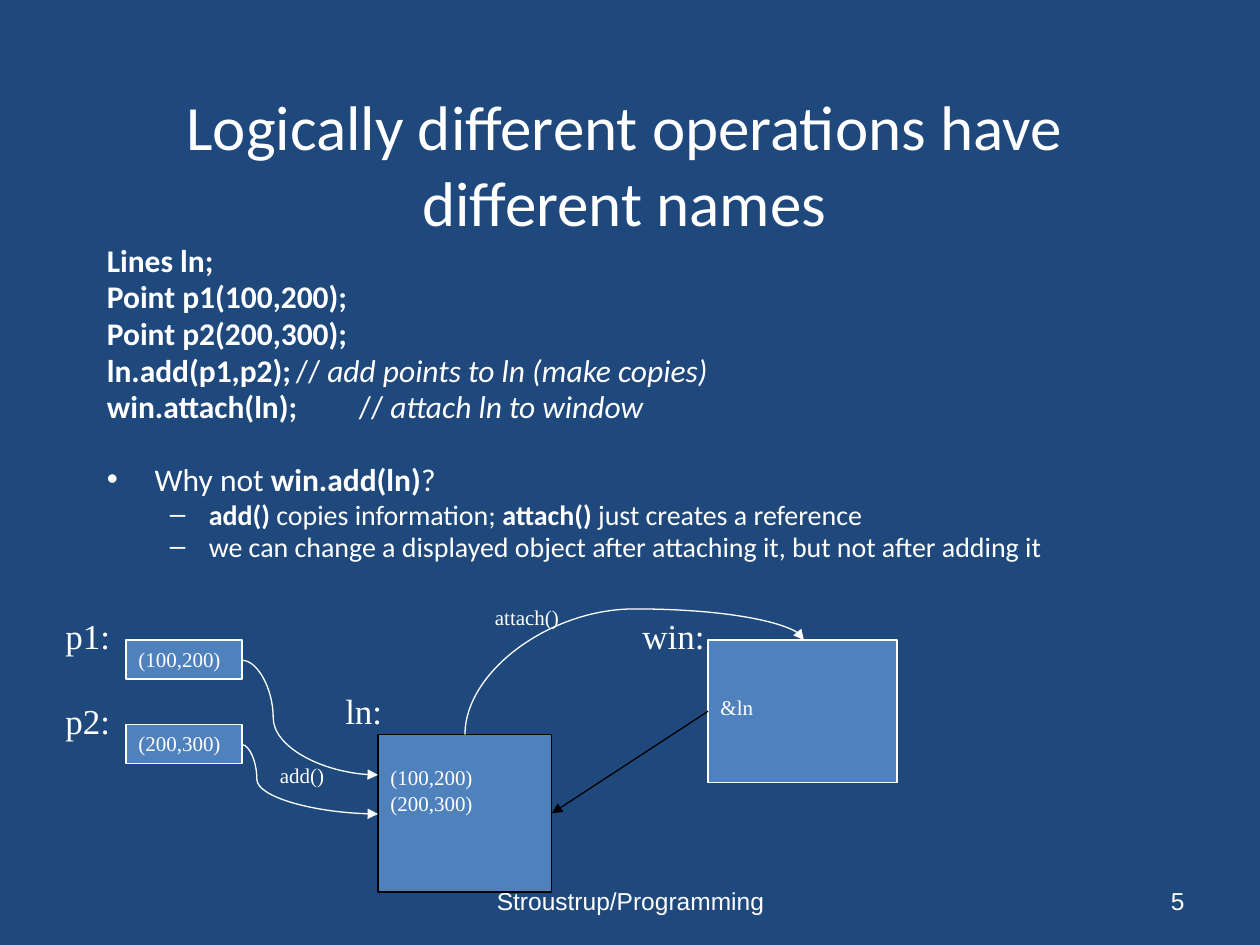
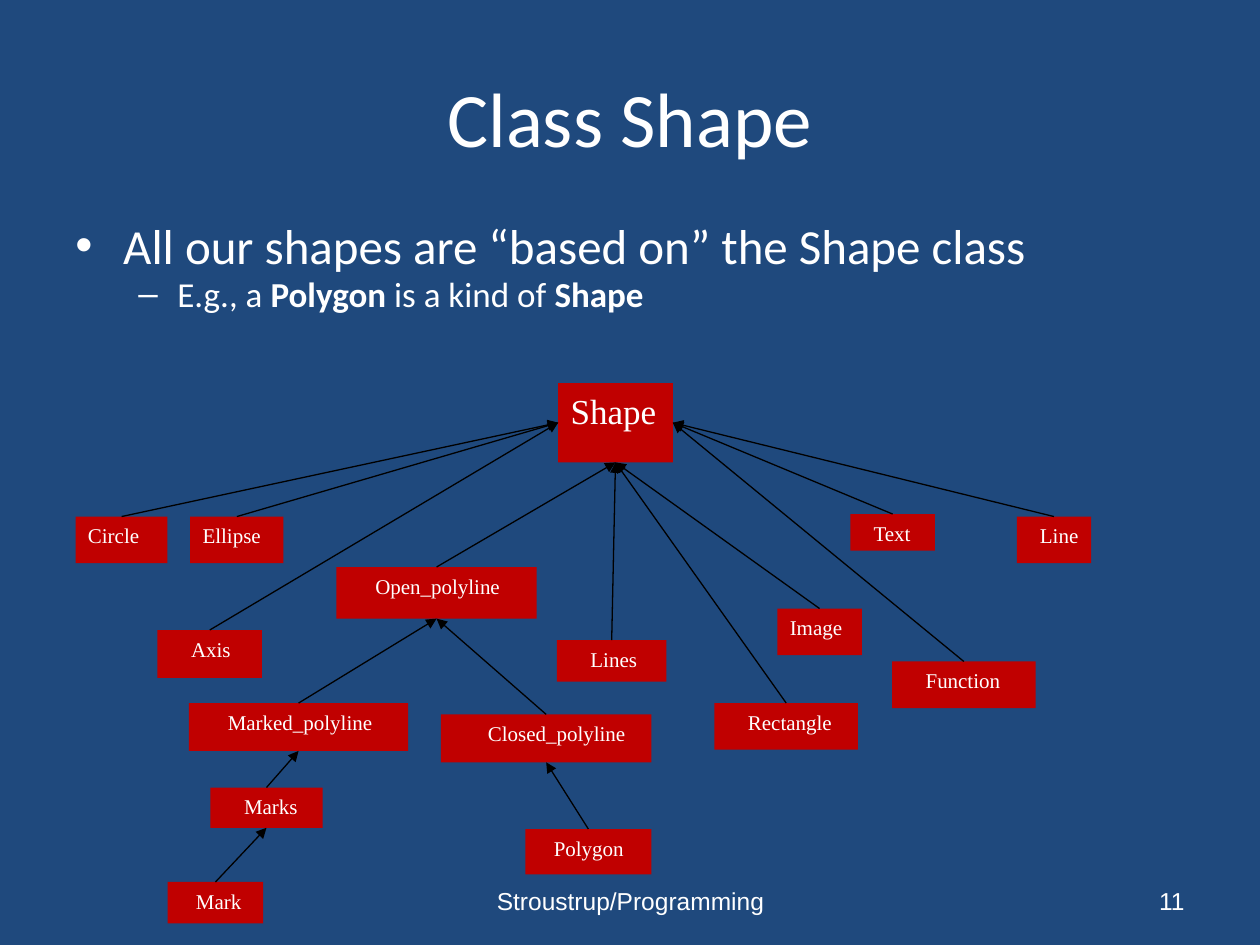
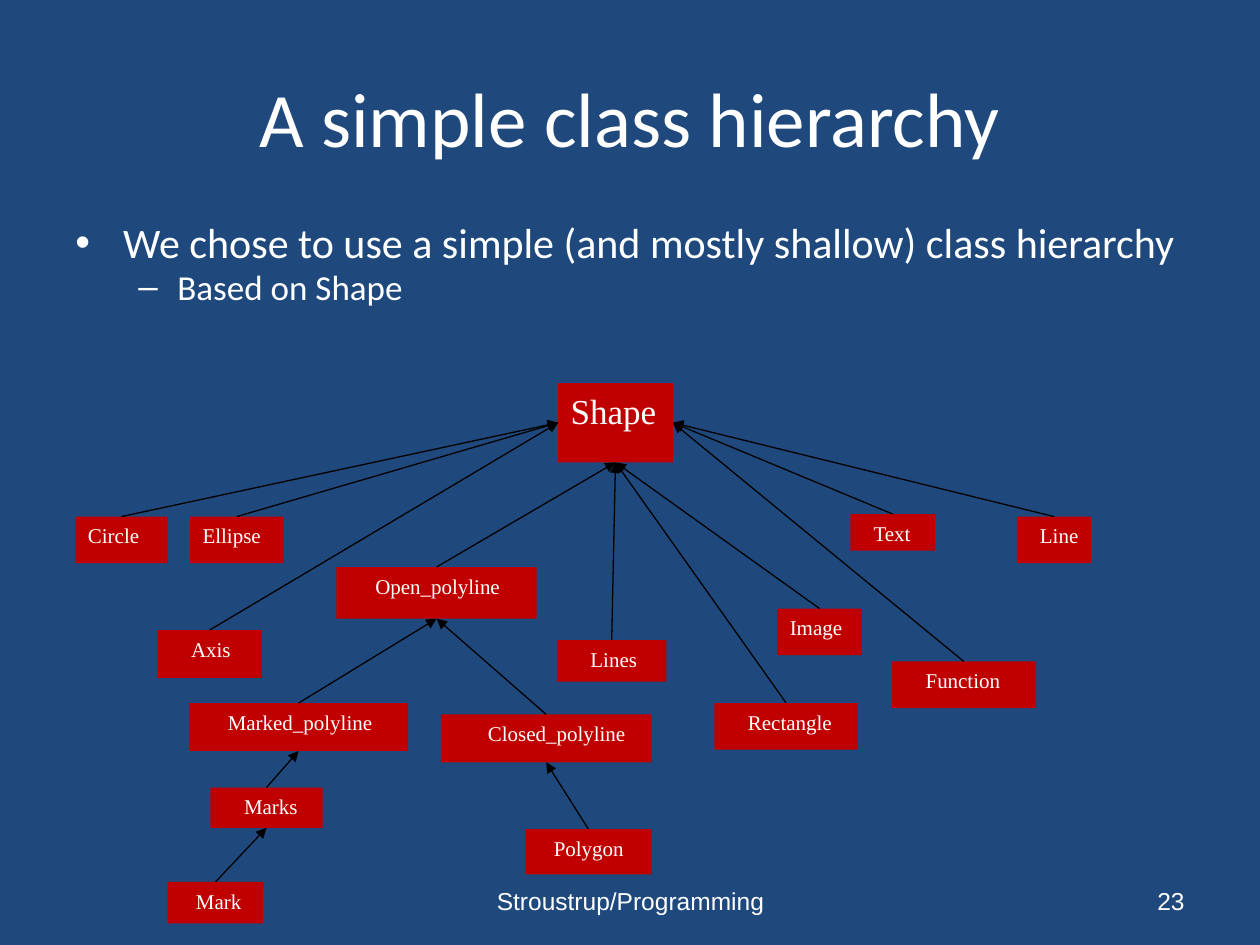
import pptx
import pptx.dml.color
import pptx.enum.shapes
import pptx.enum.text
import pptx.oxml
import pptx.oxml.ns
import pptx.util
from lxml import etree

Inches = pptx.util.Inches
Pt = pptx.util.Pt
RGBColor = pptx.dml.color.RGBColor
Align = pptx.enum.text.PP_ALIGN
Anchor = pptx.enum.text.MSO_ANCHOR
Connector = pptx.enum.shapes.MSO_CONNECTOR
qn = pptx.oxml.ns.qn

NAVY = RGBColor(0x1F, 0x49, 0x7D)
BLUE = RGBColor(0x4F, 0x81, 0xBD)
RED = RGBColor(0xC0, 0x00, 0x00)
WHITE = RGBColor(0xFF, 0xFF, 0xFF)
BLACK = RGBColor(0x00, 0x00, 0x00)

HEADING, DIAGRAM, FOOTER = "Calibri", "Times New Roman", "Arial"
LINE_WIDTH = Pt(0.75)
TOP, LEFT, BOTTOM, RIGHT = range(4)  # connection sites of a rectangle

# Left margin, first-line indent and bullet of each kind of body line
LEVELS = {
    "code": (0, 0, None),
    "point": (0.38, -0.38, "•"),
    "detail": (0.81, -0.31, "–"),
}
COMMENT_STOP = 4.38


def set_all(target, **values):
    """Set each named attribute of the target."""
    for name, value in values.items():
        setattr(target, name, value)


def add_child(parent, tag, **attributes):
    """Append a DrawingML element to the parent and return it."""
    return etree.SubElement(parent, qn(tag), attributes)


class Deck:
    """The presentation style and the slide being filled."""

    def __init__(self):
        """Start a presentation with the shared background."""
        self.show = pptx.Presentation()
        set_all(self.show, slide_width=Inches(10), slide_height=Inches(7.5))
        fill = self.show.slide_master.background.fill
        fill.solid()
        fill.fore_color.rgb = NAVY
        self.slide = None

    def new_slide(self, title, number, title_size=44, title_at=(0.5, 0.3, 9, 1.25)):
        """Add a slide with its title, footer and number."""
        self.slide = self.show.slides.add_slide(self.show.slide_layouts[6])
        middle = {"anchor": Anchor.MIDDLE}
        self.label(title_at, title, title_size, HEADING, Align.CENTER, **middle)
        self.label((3.42, 6.95, 3.17, 0.4), "Stroustrup/Programming", 14, FOOTER,
                   Align.CENTER, **middle)
        self.label((7.17, 6.95, 2.33, 0.4), str(number), 14, FOOTER,
                   Align.RIGHT, **middle)

    def add_run(self, paragraph, text, size, font, style=""):
        """Add a run; style holds b for bold and i for italic."""
        run = paragraph.add_run()
        run.text = text
        set_all(run.font, name=font, size=Pt(size), bold="b" in style, italic="i" in style)
        run.font.color.rgb = WHITE

    def put_text(self, shape, text, size, font, align, anchor, indent=0, drop=0):
        """Fill a shape with lines of text, moved in by indent and down by drop."""
        frame = shape.text_frame
        right = 0 if align == Align.LEFT else 0.1
        set_all(frame, word_wrap=True, vertical_anchor=anchor,
                margin_left=Inches(0.1 + indent), margin_right=Inches(right),
                margin_top=Inches(0.05 + drop), margin_bottom=Inches(0.05))
        paragraph = frame.paragraphs[0]
        paragraph.alignment = align
        for index, line in enumerate(text.split("\n")):
            if index:
                paragraph.add_line_break()
            self.add_run(paragraph, line, size, font)

    def label(self, at, text, size, font=DIAGRAM, align=Align.LEFT,
              anchor=Anchor.TOP, indent=0):
        """Add a plain text box."""
        box = self.slide.shapes.add_textbox(*map(Inches, at))
        self.put_text(box, text, size, font, align, anchor, indent)

    def box(self, at, text, fill, line=None, size=12, align=Align.LEFT, indent=0, drop=0):
        """Add a filled rectangle with text and return it."""
        box = self.slide.shapes.add_shape(
            pptx.enum.shapes.MSO_SHAPE.RECTANGLE, *map(Inches, at))
        box.shadow.inherit = False
        box.fill.solid()
        box.fill.fore_color.rgb = fill
        if line is None:
            box.line.fill.background()
        else:
            box.line.color.rgb = line
            box.line.width = LINE_WIDTH
        self.put_text(box, text, size, DIAGRAM, align, Anchor.TOP, indent, drop)
        return box

    def body(self, at, lines):
        """Add body text; a line is (level, size, runs, extra points before)."""
        frame = self.slide.shapes.add_textbox(*map(Inches, at)).text_frame
        frame.word_wrap = True
        for index, (level, size, runs, extra) in enumerate(lines):
            paragraph = frame.add_paragraph() if index else frame.paragraphs[0]
            set_all(paragraph, line_spacing=0.8, space_before=Pt(size * 0.2 + extra),
                    level=int(level == "detail"))
            margin, indent, bullet = LEVELS[level]
            properties = paragraph._p.get_or_add_pPr()
            properties.set("marL", str(Inches(margin)))
            properties.set("indent", str(Inches(indent)))
            if bullet:
                add_child(properties, "a:buFont", typeface="Arial")
                add_child(properties, "a:buChar", char=bullet)
            else:
                add_child(properties, "a:buNone")
                stops = add_child(properties, "a:tabLst")
                add_child(stops, "a:tab", pos=str(Inches(COMMENT_STOP)), algn="l")
            for text, style in runs:
                self.add_run(paragraph, text, size, HEADING, style)

    def arrow(self, start, end, color, kind=Connector.STRAIGHT):
        """Add a connector with an arrowhead at its end and return it."""
        arrow = self.slide.shapes.add_connector(kind, *map(Inches, start + end))
        arrow.line.color.rgb = color
        arrow.line.width = LINE_WIDTH
        properties = arrow._element.spPr
        add_child(properties.find(qn("a:ln")), "a:tailEnd", type="triangle")
        add_child(properties, "a:effectLst")
        return arrow

    def link(self, source, source_site, target, target_site):
        """Join two boxes with a straight black arrow."""
        arrow = self.arrow((0, 0), (1, 1), BLACK)
        arrow.begin_connect(source, source_site)
        arrow.end_connect(target, target_site)

    def curve(self, start, end, bend, turn=0):
        """Add a curved white arrow; bend is the place of its middle, turn in degrees."""
        arrow = self.arrow(start, end, WHITE, Connector.CURVE)
        properties = arrow._element.spPr
        if turn:
            properties.find(qn("a:xfrm")).set("rot", str(turn * 60000))
        geometry = properties.find(qn("a:prstGeom"))
        adjustments = geometry.find(qn("a:avLst"))
        if adjustments is None:
            adjustments = add_child(geometry, "a:avLst")
        add_child(adjustments, "a:gd", name="adj1", fmla=f"val {round(bend * 100000)}")


# Name: (left, top, width, height), indent in spaces, parent, site on the parent
CLASSES = {
    "Shape": ((4.43, 3.04, 0.91, 0.63), 0, None, None),
    "Circle": ((0.6, 4.1, 0.73, 0.37), 0, "Shape", LEFT),
    "Ellipse": ((1.51, 4.1, 0.74, 0.37), 0, "Shape", LEFT),
    "Axis": ((1.25, 5, 0.83, 0.38), 4, "Shape", LEFT),
    "Open_polyline": ((2.67, 4.5, 1.59, 0.41), 5, "Shape", BOTTOM),
    "Marked_polyline": ((1.5, 5.58, 1.74, 0.38), 5, "Open_polyline", BOTTOM),
    "Closed_polyline": ((3.5, 5.67, 1.67, 0.38), 4, "Open_polyline", BOTTOM),
    "Marks": ((1.67, 6.25, 0.89, 0.32), 4, "Marked_polyline", BOTTOM),
    "Mark": ((1.33, 7, 0.76, 0.33), 3, "Marks", BOTTOM),
    "Polygon": ((4.17, 6.58, 1, 0.36), 3, "Closed_polyline", BOTTOM),
    "Lines": ((4.42, 5.08, 0.87, 0.33), 4, "Shape", BOTTOM),
    "Rectangle": ((5.67, 5.58, 1.14, 0.37), 4, "Shape", BOTTOM),
    "Image": ((6.17, 4.83, 0.67, 0.37), 0, "Shape", BOTTOM),
    "Function": ((7.08, 5.25, 1.14, 0.37), 4, "Shape", RIGHT),
    "Text": ((6.75, 4.08, 0.67, 0.29), 2, "Shape", RIGHT),
    "Line": ((8.07, 4.1, 0.59, 0.37), 2, "Shape", RIGHT),
}
SPACE = 3 / 72  # width of a 12 point space


def draw_hierarchy(deck):
    """Draw the class boxes and an arrow from each class to its parent."""
    boxes = {}
    for name, (at, spaces, parent, _) in CLASSES.items():
        boxes[name] = deck.box(
            at, name, RED, size=12 if parent else 20, indent=spaces * SPACE,
            align=Align.CENTER if name == "Closed_polyline" else Align.LEFT)
    for name, (_, _, parent, site) in CLASSES.items():
        if parent:
            deck.link(boxes[name], TOP, boxes[parent], site)


def draw_operations(deck):
    """Draw how add() copies points and attach() refers to the lines."""
    lines = deck.box((3, 5.83, 1.38, 1.25), "(100,200)\n(200,300)", BLUE, BLACK, drop=0.19)
    window = deck.box((5.62, 5.08, 1.5, 1.13), "&ln", BLUE, WHITE, drop=0.38)
    deck.link(window, LEFT, lines, RIGHT)
    deck.label((2.5, 5.42, 1.38, 0.37), "ln:", 20, indent=0.14)
    deck.label((5, 4.83, 1.38, 0.37), "win:", 20)

    points = (("p1:", "(100,200)", 5.08, 6.15, 0.23), ("p2:", "(200,300)", 5.75, 6.46, 0.11))
    for name, value, top, target, bend in points:
        deck.box((1, top, 0.92, 0.31), value, BLUE, WHITE)
        deck.label((0.42, top - 0.25, 0.67, 0.43), name, 20)
        deck.curve((1.92, top + 0.16), (3, target), bend)
    deck.label((2.08, 6, 0.92, 0.3), "add()", 12, indent=SPACE)

    # Laid out before the quarter turn that makes it leave upwards
    deck.curve((4.66, 4.11), (5.41, 6.8), 1.33, turn=270)
    deck.label((3.83, 4.75, 0.92, 0.3), "attach()", 12)


BODY_AT = (0.5, 1.75, 9, 1.01)
deck = Deck()

deck.new_slide("Logically different operations have\ndifferent names", 5, 36,
               (0.33, 0.67, 9.25, 1.25))
code = (
    ("Lines ln;", ""),
    ("Point p1(100,200);", ""),
    ("Point p2(200,300);", ""),
    ("ln.add(p1,p2);", "add points to ln (make copies)"),
    ("win.attach(ln);", "attach ln to window"),
)
code_lines = []
for statement, comment in code:
    runs = [(statement, "b")]
    if comment:
        runs += [("\t// ", ""), (comment, "i")]
    code_lines.append(("code", 18, runs, 0))
deck.body((0.75, 1.92, 8.5, 2.92), code_lines + [
    ("point", 18, [("Why not ", ""), ("win.add(ln)", "b"), ("?", "")], 21),
    ("detail", 16, [("add()", "b"), (" copies information; ", ""), ("attach()", "b"),
                    (" just creates a reference", "")], 0),
    ("detail", 16, [("we can change a displayed object after attaching it, "
                     "but not after adding it", "")], 0),
])
draw_operations(deck)

deck.new_slide("Class Shape", 11)
deck.body(BODY_AT, [
    ("point", 28, [("All our shapes are “based on” the Shape class", "")], 0),
    ("detail", 20, [("E.g., a ", ""), ("Polygon", "b"), (" is a kind of ", ""),
                    ("Shape", "b")], 0),
])
draw_hierarchy(deck)

deck.new_slide("A simple class hierarchy", 23)
deck.body(BODY_AT, [
    ("point", 24, [("We chose to use a simple (and mostly shallow) class hierarchy", "")], 0),
    ("detail", 20, [("Based on Shape", "")], 0),
])
draw_hierarchy(deck)

deck.show.save("out.pptx")
